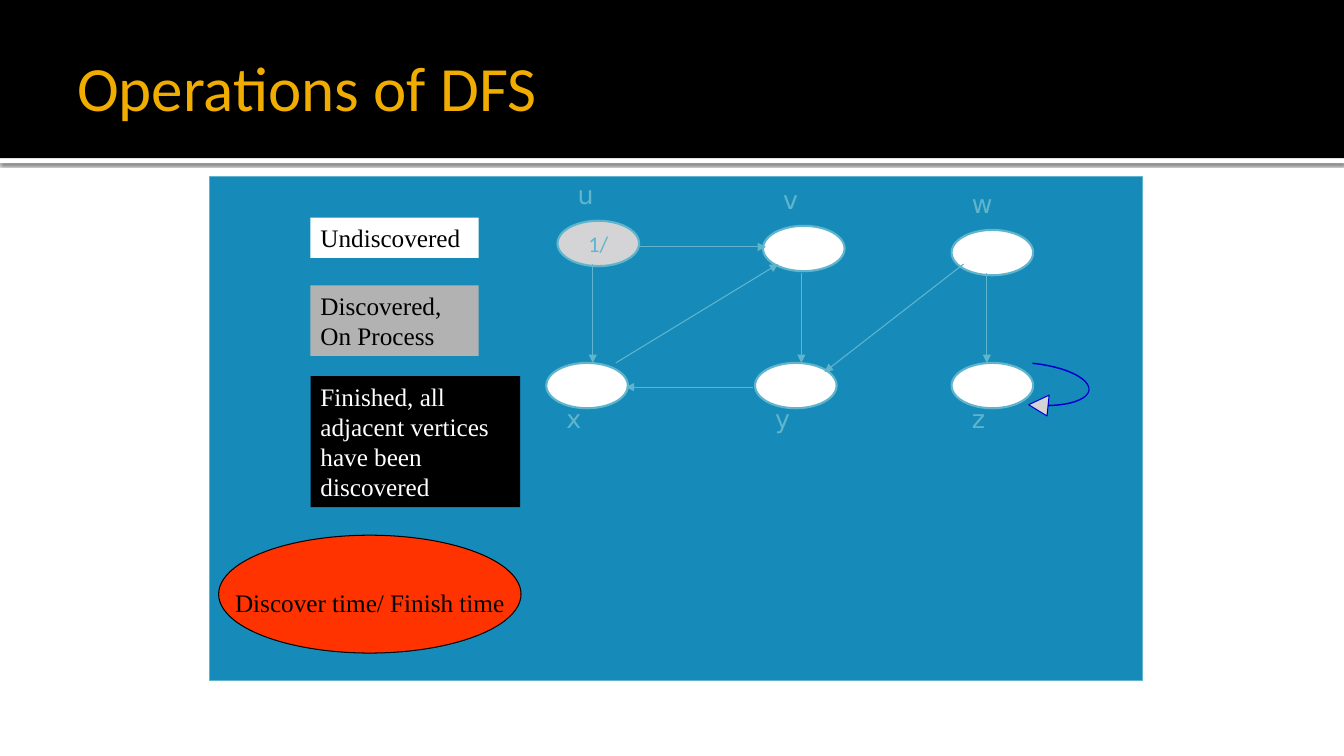
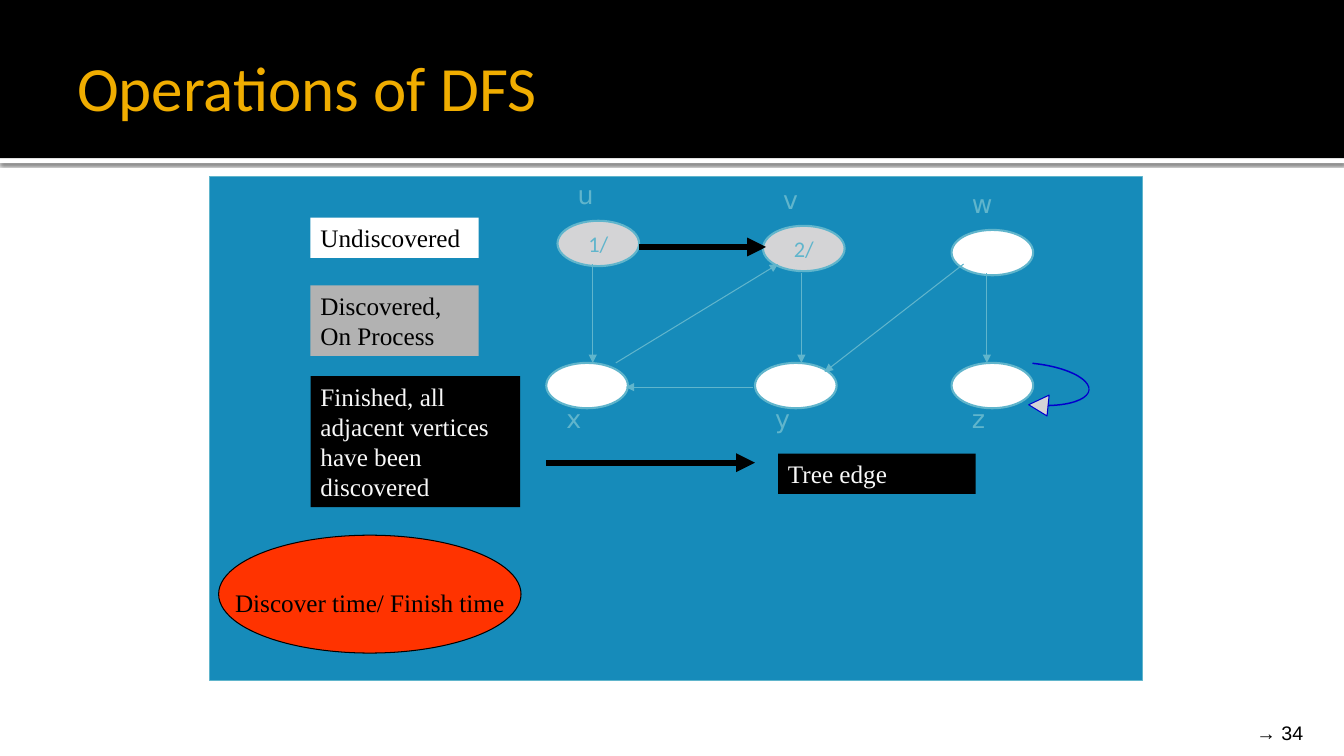
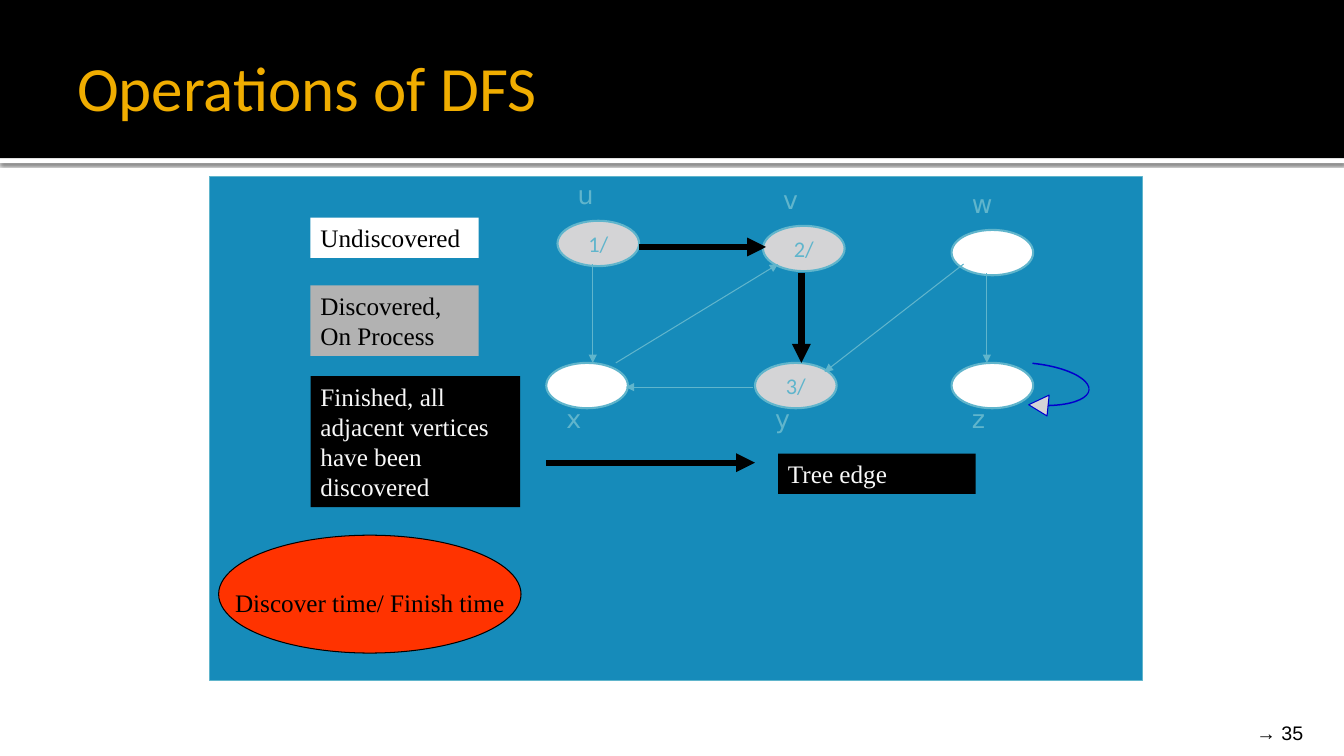
"""Build three slides that step through a depth-first search of a graph."""
from dataclasses import dataclass, field
from typing import Optional

from lxml.etree import SubElement
from pptx import Presentation
from pptx.dml.color import RGBColor
from pptx.enum.shapes import MSO_CONNECTOR as Connector, MSO_SHAPE as Preset
from pptx.enum.text import MSO_ANCHOR as Anchor, PP_ALIGN as Align
from pptx.oxml.ns import qn
from pptx.shapes.autoshape import Shape
from pptx.slide import Slide
from pptx.util import Pt

COLOURS = {
    "black": "000000",
    "white": "FFFFFF",
    "off_white": "F8F8F8",
    "gold": "F0AD00",
    "panel": "168BBA",
    "sky": "60B5CC",
    "visited": "D4D4D6",
    "grey": "B2B2B2",
    "red": "FF3300",
    "blue": "0000CC",
}
SERIF = "Times New Roman"
SANS = "Calibri"
NODE_SIZE = (58.3, 32.4)
LABEL_SIZE = (58.3, 28.8)
LABEL_ABOVE, LABEL_BELOW = -33.1, 25.2


@dataclass(frozen=True)
class Area:
    """A rectangle on the slide, in points."""

    left: float
    top: float
    width: float
    height: float


@dataclass(frozen=True)
class TextStyle:
    """How a piece of text looks and sits in its box."""

    font: str
    size: float
    colour: str
    align: Align = Align.LEFT
    anchor: Anchor = Anchor.TOP
    wrap: bool = True
    margins: tuple[float, float, float, float] = (7.2, 3.6, 7.2, 3.6)


@dataclass(frozen=True)
class Node:
    """A vertex of the graph and the offset of its label."""

    name: str
    left: float
    top: float
    label_offset: float


@dataclass(frozen=True)
class Edge:
    """A directed line between two points."""

    name: str
    start: tuple[float, float]
    end: tuple[float, float]


@dataclass(frozen=True)
class Legend:
    """A filled caption box."""

    text: str
    area: Area
    fill: str
    ink: str


@dataclass(frozen=True)
class Step:
    """The state of the search shown on one slide."""

    ink: str
    times: dict[str, str]
    tree_edges: set[str] = field(default_factory=set)
    footer: Optional[str] = None


TITLE = TextStyle(SANS, 45, "gold", anchor=Anchor.MIDDLE, margins=(7.2, 3.6, 3.6, 3.6))
FOOTER = TextStyle("Arial", 14, "black", Align.RIGHT, Anchor.BOTTOM, margins=(7.2, 3.6, 7.2, 0))
NODE_LABEL = TextStyle("DejaVu Sans", 18, "sky", margins=(13, 3.6, 7.2, 3.6))
NODE_TIME = TextStyle(SANS, 16, "sky", Align.CENTER, Anchor.MIDDLE, False)
TIME_KEY = TextStyle(SERIF, 18, "black", Align.CENTER, Anchor.MIDDLE, False, (7.2, 15, 7.2, 3.6))

NODES = [
    Node("x", 390.2, 259.2, LABEL_BELOW),
    Node("z", 679.7, 259.2, LABEL_BELOW),
    Node("y", 539.3, 259.2, LABEL_BELOW),
    Node("w", 679.7, 164.2, LABEL_ABOVE),
    Node("v", 545, 161.3, LABEL_ABOVE),
    Node("u", 398.2, 157.7, LABEL_ABOVE),
]
EDGES = [
    Edge("uv", (456.5, 176.4), (547.2, 176.4)),
    Edge("yx", (537.8, 276.5), (447.1, 276.5)),
    Edge("vy", (572.4, 195.1), (572.4, 259.2)),
    Edge("ux", (423.4, 188.6), (423.4, 259.2)),
    Edge("wz", (704.9, 195.1), (704.9, 259.2)),
    Edge("wy", (688.3, 188.6), (589, 265.7)),
    Edge("xv", (439.9, 259.2), (555.8, 188.6)),
]
TREE_EDGE_KEY = Edge("key", (390.2, 330.5), (539.3, 330.5))
TREE_EDGE_LEGEND = Legend("Tree edge", Area(555.8, 324, 141.1, 28.8), "black", "off_white")
STEPS = [
    Step("white", {"u": "1/"}),
    Step("off_white", {"u": "1/", "v": "2/"}, {"uv"}, "→ 34"),
    Step("off_white", {"u": "1/", "v": "2/", "y": "3/"}, {"uv", "vy"}, "→ 35"),
]


def rgb(name: str) -> RGBColor:
    """Return the named colour."""
    return RGBColor.from_string(COLOURS[name])


def write(box: Shape, text: str, style: TextStyle) -> None:
    """Put styled text into a box."""
    frame = box.text_frame
    frame.text = text
    frame.word_wrap = style.wrap
    frame.vertical_anchor = style.anchor
    left, top, right, bottom = style.margins
    frame.margin_left, frame.margin_top = Pt(left), Pt(top)
    frame.margin_right, frame.margin_bottom = Pt(right), Pt(bottom)
    for para in frame.paragraphs:
        para.alignment = style.align
        for span in para.runs:
            span.font.name = style.font
            span.font.size = Pt(style.size)
            span.font.color.rgb = rgb(style.colour)


def add_text(page: Slide, area: Area, text: str, style: TextStyle) -> None:
    """Add a text box."""
    box = page.shapes.add_textbox(Pt(area.left), Pt(area.top), Pt(area.width), Pt(area.height))
    write(box, text, style)


def add_box(page: Slide, preset: Preset, area: Area, fill: str,
            line: Optional[str] = None, weight: float = 0.75) -> Shape:
    """Add a flat preset shape, outlined if a line colour is given."""
    box = page.shapes.add_shape(
        preset, Pt(area.left), Pt(area.top), Pt(area.width), Pt(area.height))
    box.shadow.inherit = False
    box.fill.solid()
    box.fill.fore_color.rgb = rgb(fill)
    if line:
        box.line.color.rgb = rgb(line)
        box.line.width = Pt(weight)
    else:
        box.line.fill.background()
    return box


def add_shadow(box: Shape) -> None:
    """Give a shape a soft shadow just below it."""
    effects = box._element.spPr.find(qn("a:effectLst"))
    shadow = SubElement(effects, qn("a:outerShdw"), blurRad=str(Pt(2.5)), dist=str(Pt(0.8)),
                        dir="5400000", algn="t", rotWithShape="0")
    colour = SubElement(shadow, qn("a:srgbClr"), val=COLOURS["black"])
    SubElement(colour, qn("a:alpha"), val="60000")


def add_arrow(page: Slide, edge: Edge, in_tree: bool) -> None:
    """Draw an edge, thick and black when it belongs to the tree."""
    arrow = page.shapes.add_connector(
        Connector.STRAIGHT, *(Pt(value) for value in edge.start + edge.end))
    arrow.line.color.rgb = rgb("black" if in_tree else "sky")
    arrow.line.width = Pt(4.5 if in_tree else 0.75)
    SubElement(arrow.line._get_or_add_ln(), qn("a:tailEnd"), type="triangle")
    SubElement(arrow._element.spPr, qn("a:effectLst"))


def add_legend(page: Slide, legend: Legend) -> None:
    """Draw a caption box."""
    box = add_box(page, Preset.RECTANGLE, legend.area, legend.fill)
    write(box, legend.text, TextStyle(SERIF, 18, legend.ink))


def add_node(page: Slide, node: Node, time: Optional[str]) -> None:
    """Draw a vertex with its label and, once discovered, its time."""
    oval = add_box(page, Preset.OVAL, Area(node.left, node.top, *NODE_SIZE),
                   "visited" if time else "white", "sky", 1.5)
    if time:
        write(oval, time, NODE_TIME)
    label_area = Area(node.left + 1.4, node.top + node.label_offset, *LABEL_SIZE)
    add_text(page, label_area, node.name, NODE_LABEL)


def add_frame(page: Slide, footer: Optional[str]) -> None:
    """Draw the title band, the panel and the footer."""
    add_shadow(add_box(page, Preset.RECTANGLE, Area(0, 113, 960, 3.6), "white"))
    add_box(page, Preset.RECTANGLE, Area(0, 0, 960, 113), "black")
    add_box(page, Preset.RECTANGLE, Area(149.8, 126, 666, 360), "panel", "sky")
    add_text(page, Area(48, 12.2, 864, 98.6), "Operations of DFS", TITLE)
    if footer:
        add_text(page, Area(861.1, 509.8, 77, 21.6), footer, FOOTER)


def add_graph(page: Slide, step: Step) -> None:
    """Draw the vertices, the edges and the loop at z."""
    loop = add_box(page, Preset.CURVED_DOWN_ARROW, Area(738, 259.2, 37.4, 41.8), "visited", "blue")
    loop.rotation = 95.8
    for index, value in enumerate((0.01, 0.4, 0.37)):
        loop.adjustments[index] = value
    for node in NODES:
        add_node(page, node, step.times.get(node.name))
    for edge in EDGES:
        add_arrow(page, edge, edge.name in step.tree_edges)


def add_key(page: Slide, step: Step) -> None:
    """Draw the captions that explain the colours, times and tree edges."""
    if step.tree_edges:
        add_arrow(page, TREE_EDGE_KEY, True)
        add_legend(page, TREE_EDGE_LEGEND)
    for legend in (
        Legend("Undiscovered", Area(221.8, 155.5, 120.2, 28.8), "white", "black"),
        Legend("Discovered, On Process", Area(221.8, 203.8, 120.2, 50.4), "grey", "black"),
        Legend("Finished, all adjacent vertices have been discovered",
               Area(221.8, 268.6, 149.8, 93.6), "black", step.ink),
    ):
        add_legend(page, legend)
    oval = add_box(page, Preset.OVAL, Area(156.2, 382.3, 216, 84.2), "red", "black")
    write(oval, "Discover time/ Finish time", TIME_KEY)


def main() -> None:
    """Build and save the deck."""
    deck = Presentation()
    deck.slide_width, deck.slide_height = Pt(960), Pt(540)
    blank = deck.slide_layouts[6]
    for step in STEPS:
        page = deck.slides.add_slide(blank)
        add_frame(page, step.footer)
        add_graph(page, step)
        add_key(page, step)
    deck.save("out.pptx")


if __name__ == "__main__":
    main()
